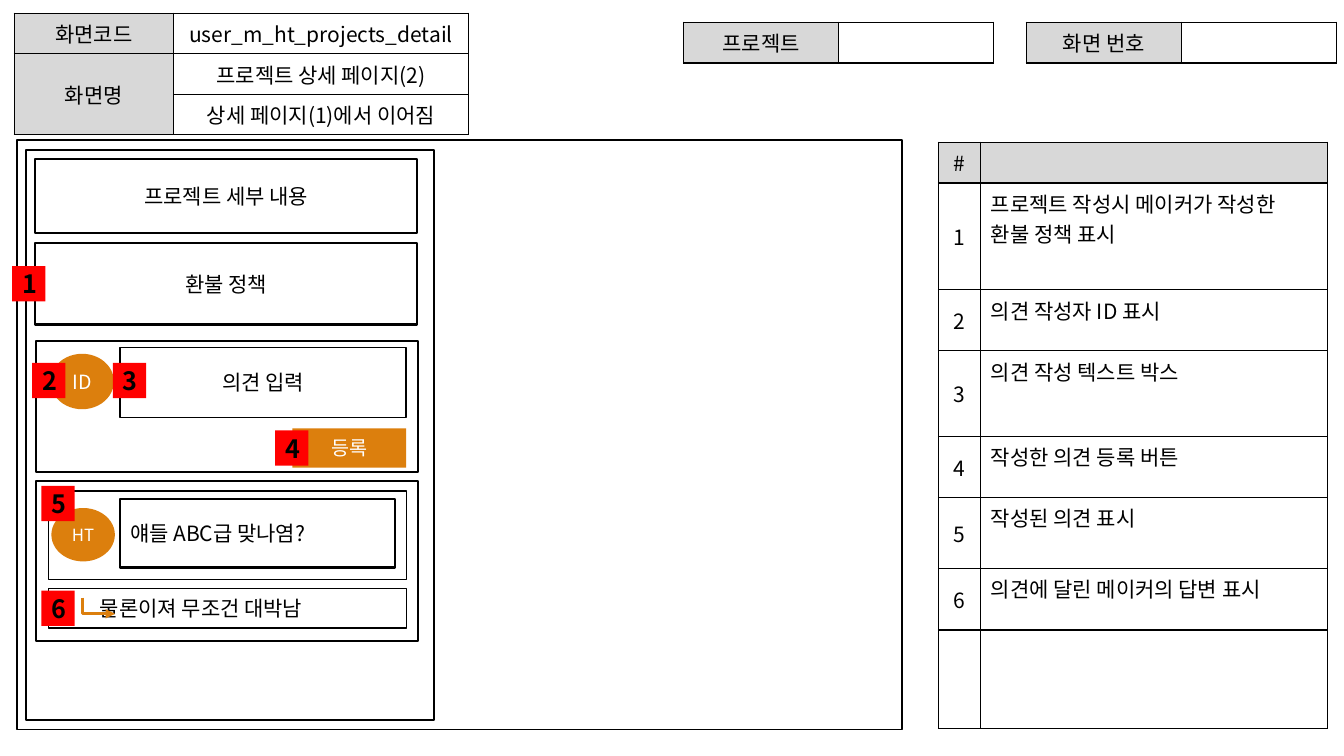
from lxml import etree
from pptx import Presentation
from pptx.dml.color import RGBColor
from pptx.enum.shapes import MSO_CONNECTOR, MSO_SHAPE
from pptx.enum.text import MSO_ANCHOR, PP_ALIGN
from pptx.oxml.ns import qn
from pptx.util import Inches, Pt

RECT, OVAL = MSO_SHAPE.RECTANGLE, MSO_SHAPE.OVAL
ELBOW = MSO_CONNECTOR.ELBOW
LEFT, CENTER = PP_ALIGN.LEFT, PP_ALIGN.CENTER
TOP, MIDDLE = MSO_ANCHOR.TOP, MSO_ANCHOR.MIDDLE

COLORS = {"ink": "000000", "paper": "FFFFFF", "head": "D8D8D8",
          "accent": "DC7F0D", "badge": "FF0000"}
FONT = "Noto Sans CJK KR"
COLS, ROWS = 133.33, 75  # grid of the whole slide


class Wireframe:
    """Style and current slide; every length is in grid columns and rows."""

    def __init__(self, prs):
        self.s = prs.slides.add_slide(prs.slide_layouts[6])
        self.col = prs.slide_width / COLS
        self.row = prs.slide_height / ROWS

    def place(self, x, y, w, h):
        return [round(v) for v in (x * self.col, y * self.row, w * self.col, h * self.row)]

    def rgb(self, name):
        return RGBColor.from_string(COLORS[name])

    def label(self, tf, text, size=15, color="ink", bold=False, align=CENTER):
        p = tf.paragraphs[0]
        p.alignment = align
        if not text:
            return
        r = p.add_run()
        r.text = text
        for key, value in {"size": Pt(size), "bold": bold, "name": FONT}.items():
            setattr(r.font, key, value)
        r.font.color.rgb = self.rgb(color)
        etree.SubElement(r._r.get_or_add_rPr(), qn("a:ea"), typeface=FONT)

    def shape(self, at, text="", kind=RECT, fill=None, line=None, inset=1, **style):
        sp = self.s.shapes.add_shape(kind, *self.place(*at))
        sp.shadow.inherit = False
        if fill:
            sp.fill.solid()
            sp.fill.fore_color.rgb = self.rgb(fill)
        else:
            sp.fill.background()
        if line:
            sp.line.color.rgb = self.rgb("ink")
            sp.line.width = Pt(line)
        else:
            sp.line.fill.background()
        tf = sp.text_frame
        side = 0 if kind == OVAL else round(self.col)
        frame = {"word_wrap": True, "vertical_anchor": MIDDLE,
                 "margin_left": round(inset * side), "margin_right": side,
                 "margin_top": side // 2, "margin_bottom": side // 2}
        for key, value in frame.items():
            setattr(tf, key, value)
        self.label(tf, text, **style)

    def arrow(self, x1, y1, x2, y2):
        cx = self.s.shapes.add_connector(ELBOW, *self.place(x1, y1, x2, y2))
        cx.line.color.rgb = self.rgb("accent")
        cx.line.width = Pt(2.25)
        spPr = cx._element.spPr
        etree.SubElement(spPr.find(qn("a:ln")), qn("a:tailEnd"), type="triangle")
        etree.SubElement(spPr, qn("a:effectLst"))
        # Bend at the start: down first, then right
        guides = spPr.find(qn("a:prstGeom")).find(qn("a:avLst"))
        etree.SubElement(guides, qn("a:gd"), name="adj1", fmla="val 0")

    def border(self, cell):
        tcPr = cell._tc.get_or_add_tcPr()
        for i, side in enumerate(("lnL", "lnR", "lnT", "lnB")):
            ln = etree.Element(qn(f"a:{side}"), w=str(int(Pt(1))))
            fill = etree.SubElement(ln, qn("a:solidFill"))
            etree.SubElement(fill, qn("a:srgbClr"), val=COLORS["ink"])
            tcPr.insert(i, ln)

    def table(self, x, y, widths, heights, texts, is_head, is_note=None, merge=None):
        at = self.place(x, y, sum(widths), sum(heights))
        tbl = self.s.shapes.add_table(len(heights), len(widths), *at).table
        for column, w in zip(tbl.columns, widths):
            column.width = round(w * self.col)
        for row, h in zip(tbl.rows, heights):
            row.height = round(h * self.row)
        for i, line in enumerate(texts):
            for j, text in enumerate(line):
                cell = tbl.cell(i, j)
                note = is_note is not None and is_note(i, j)
                cell.vertical_anchor = TOP if note else MIDDLE
                cell.fill.solid()
                cell.fill.fore_color.rgb = self.rgb("head" if is_head(i, j) else "paper")
                self.border(cell)
                self.label(cell.text_frame, text, align=LEFT if note else CENTER)
        if merge:
            first, last = merge
            tbl.cell(*first).merge(tbl.cell(*last))


def main():
    prs = Presentation()
    prs.slide_width, prs.slide_height = Inches(13.33), Inches(7.5)
    page = Wireframe(prs)

    # Header tables
    def first_column(i, j):
        return j == 0

    page.table(1.4, 1.3, [15.8, 29.3], [4.03] * 3,
               [["화면코드", "user_m_ht_projects_detail"],
                ["화면명", "프로젝트 상세 페이지(2)"],
                ["", "상세 페이지(1)에서 이어짐"]],
               first_column, merge=((1, 0), (2, 0)))
    for x, name in ((101.8, "화면 번호"), (67.8, "프로젝트")):
        page.table(x, 2.2, [15.4] * 2, [4], [[name, ""]], first_column)

    # Description list
    notes = ["프로젝트 작성시 메이커가 작성한 환불 정책 표시", "의견 작성자 ID 표시",
             "의견 작성 텍스트 박스", "작성한 의견 등록 버튼",
             "작성된 의견 표시", "의견에 달린 메이커의 답변 표시"]
    rows = [["#", ""], *([str(n), note] for n, note in enumerate(notes, 1)), ["", ""]]
    page.table(93.1, 14.1, [4.2, 34.4], [4, 10.6, 6.05, 8.5, 6.05, 7.05, 6.1, 9.8], rows,
               lambda i, j: i == 0, lambda i, j: i > 0 and j == 1)

    # Canvas and phone screen
    page.shape((1.7, 13.9, 87.8, 58.5), line=1)
    page.shape((2.6, 14.9, 40.5, 56.5), line=1.5)

    # Project details and refund policy
    page.shape((3.5, 15.8, 37.9, 7.3), "프로젝트 세부 내용", line=1.5)
    page.shape((3.5, 24.1, 37.9, 8.1), "환불 정책", line=1.5)

    # Comment entry
    page.shape((3.6, 33.8, 37.9, 13), line=1.5)
    page.shape((5, 35.1, 6.3, 5.5), "ID", OVAL, "accent", size=14, color="paper")
    page.shape((11.9, 34.5, 28.4, 6.9), "의견 입력", line=1)
    page.shape((29, 42.5, 11.3, 3.9), "등록", fill="accent", size=14, color="paper")

    # Posted comment and reply
    page.shape((3.6, 47.7, 37.9, 15.9), line=1.5)
    page.shape((4.8, 48.7, 35.5, 8.8), line=1)
    page.shape((4.8, 58.4, 35.5, 3.9), "물론이져 무조건 대박남", line=1, inset=5.1, align=LEFT)
    page.shape((5.1, 50.4, 6.3, 5.3), "HT", OVAL, "accent", size=12, color="paper")
    page.shape((11.9, 49.5, 27.3, 6.8), "얘들 ABC급 맞나염?", line=1.5, align=LEFT)
    page.arrow(8.2, 59.3, 11.4, 60.9)

    # Numbered badges
    badges = [(1.2, 26.4), (3.2, 36), (11.2, 36), (27.3, 42.7), (4.1, 48.2), (4.1, 58.6)]
    for n, (x, y) in enumerate(badges, 1):
        page.shape((x, y, 3.3, 3.5), str(n), fill="badge", size=18, bold=True)

    prs.save("out.pptx")


if __name__ == "__main__":
    main()
